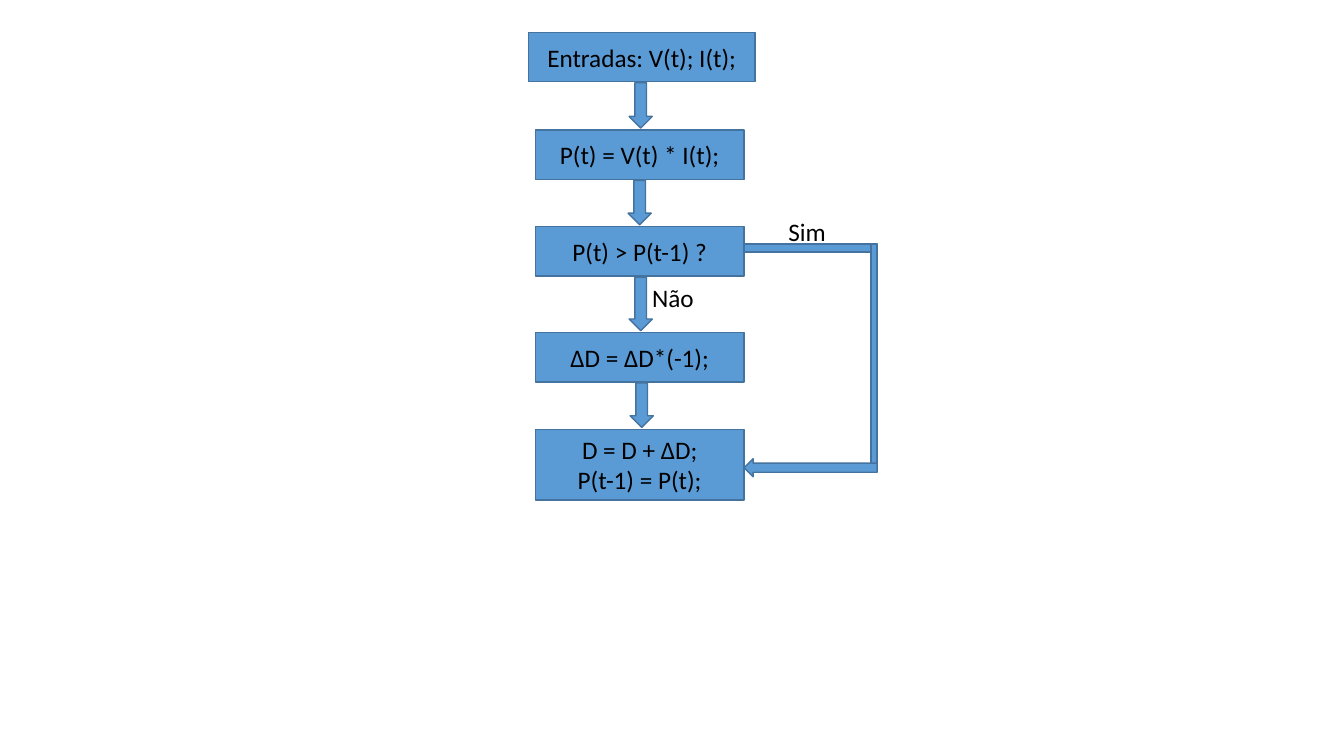
from pptx import Presentation, util as u
from pptx.dml.color import RGBColor
from pptx.enum import shapes, text

BLUE = RGBColor(0x5B, 0x9B, 0xD5)
EDGE = RGBColor(0x43, 0x73, 0x9E)
BLACK = RGBColor(0, 0, 0)
SHAPE = shapes.MSO_SHAPE

prs = Presentation()
prs.slide_width, prs.slide_height = u.Inches(13.33), u.Inches(7.5)
s = prs.slides.add_slide(prs.slide_layouts[6])


def add_block(kind, x, y, w, h):
    sp = s.shapes.add_shape(kind, *map(u.Inches, (x, y, w, h)))
    sp.shadow.inherit = False
    sp.fill.solid()
    sp.fill.fore_color.rgb = BLUE
    sp.line.color.rgb = EDGE
    sp.line.width = u.Pt(1)
    return sp


def write(tf, lines, align):
    for i, line in enumerate(lines):
        p = tf.paragraphs[0] if i == 0 else tf.add_paragraph()
        p.alignment = align
        r = p.add_run()
        r.text = line
        r.font.name, r.font.size = "Calibri", u.Pt(18)
        r.font.color.rgb = BLACK


# Column of steps: left, top, width, height, lines
LEFT, WIDTH, ROW = 5.31, 2.07, 0.49
RIGHT = LEFT + WIDTH
steps = [
    (5.24, 0.32, 2.25, ROW, ["Entradas: V(t); I(t);"]),
    (LEFT, 1.29, WIDTH, ROW, ["P(t) = V(t) * I(t);"]),
    (LEFT, 2.25, WIDTH, ROW, ["P(t) > P(t-1) ?"]),
    (LEFT, 3.3, WIDTH, ROW, ["ΔD = ΔD*(-1);"]),
    (LEFT, 4.26, WIDTH, 0.7, ["D = D + ΔD;", "P(t-1) = P(t);"]),
]
for x, y, w, h, lines in steps:
    tf = add_block(SHAPE.RECTANGLE, x, y, w, h).text_frame
    tf.word_wrap = True
    tf.vertical_anchor = text.MSO_ANCHOR.MIDDLE
    write(tf, lines, text.PP_ALIGN.CENTER)

# Down arrows fill the gaps between steps
for x, step, below in zip((6.24, 6.23, 6.24, 6.25), steps, steps[1:]):
    top = step[1] + step[3]
    add_block(SHAPE.DOWN_ARROW, x, top + 0.01, 0.23, below[1] - top - 0.03)

# "Sim" branch around the right side
BRANCH = 1.32
add_block(SHAPE.RECTANGLE, RIGHT, 2.42, BRANCH, 0.08)
add_block(SHAPE.RECTANGLE, RIGHT + BRANCH - 0.06, 2.42, 0.06, 2.26)
add_block(SHAPE.LEFT_ARROW, RIGHT, 4.55, BRANCH, 0.18)

# Branch labels
for label, x, y, w in (("Sim", 7.72, 2.1, 0.58), ("Não", 6.37, 2.75, 0.62)):
    tf = s.shapes.add_textbox(*map(u.Inches, (x, y, w, 0.4))).text_frame
    tf.word_wrap = False
    tf.auto_size = text.MSO_AUTO_SIZE.SHAPE_TO_FIT_TEXT
    write(tf, [label], text.PP_ALIGN.LEFT)

prs.save("out.pptx")
